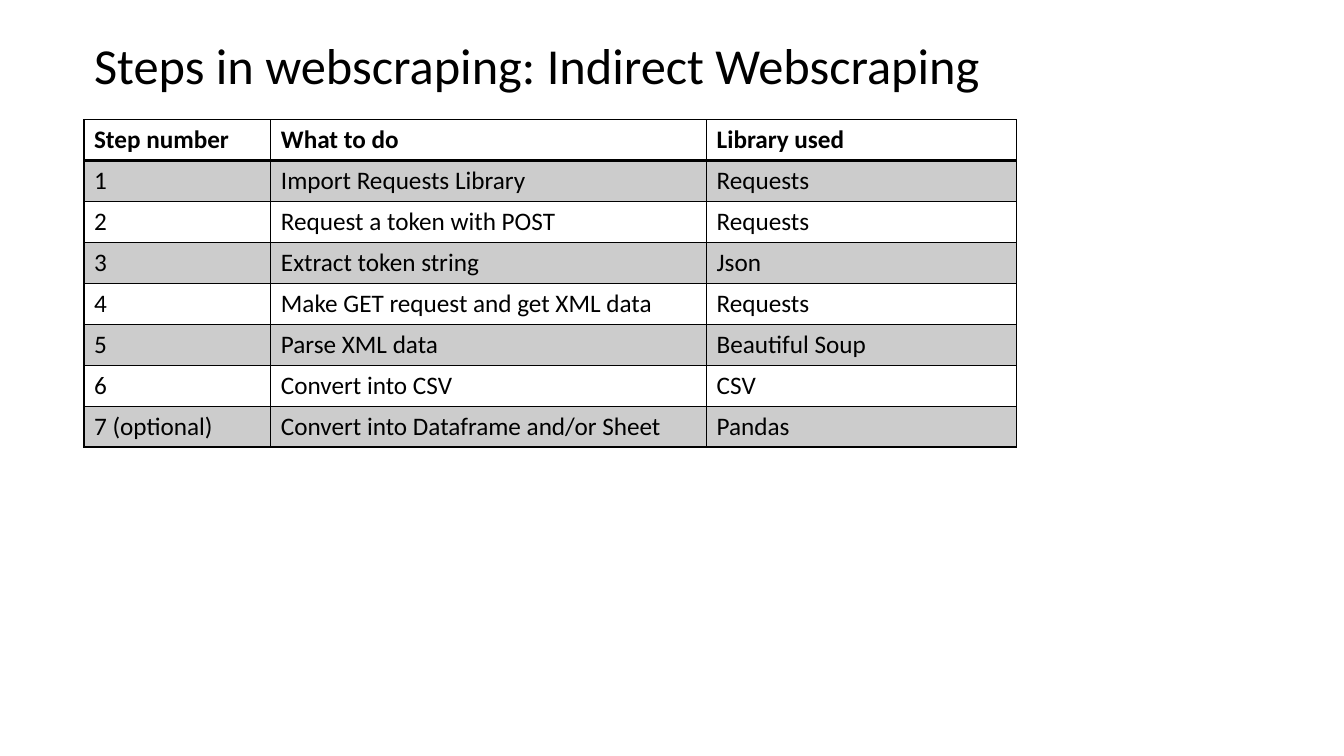
from dataclasses import dataclass

from lxml import etree
from pptx import Presentation
from pptx.dml.color import RGBColor
from pptx.enum.text import MSO_ANCHOR, PP_ALIGN
from pptx.oxml.ns import qn
from pptx.util import Pt

LEFT = PP_ALIGN.LEFT
MIDDLE = MSO_ANCHOR.MIDDLE
TOP = MSO_ANCHOR.TOP
PX = 9525  # EMU per px, 96 px to the inch


@dataclass(frozen=True)
class Theme:
    font: str = "Calibri"
    ink: str = "000000"
    paper: str = "FFFFFF"
    band: str = "CCCCCC"
    title_size: int = 36
    table_size: int = 18
    rule: int = 1
    header_rule: int = 2


THEME = Theme()


def write(frame, text, *, size, bold=False, anchor=TOP):
    frame.word_wrap = True
    frame.vertical_anchor = anchor
    paragraph = frame.paragraphs[0]
    paragraph.alignment = LEFT
    run = paragraph.add_run()
    run.text = text
    run.font.name = THEME.font
    run.font.size = Pt(size)
    run.font.bold = bold
    run.font.color.rgb = RGBColor.from_string(THEME.ink)


def add_border(cell, side, points):
    line = etree.SubElement(cell._tc.get_or_add_tcPr(), qn(f"a:ln{side}"), w=str(Pt(points)))
    fill = etree.SubElement(line, qn("a:solidFill"))
    etree.SubElement(fill, qn("a:srgbClr"), val=THEME.ink)


# Slide
prs = Presentation()
prs.slide_width, prs.slide_height = 1280 * PX, 720 * PX
slide = prs.slides.add_slide(prs.slide_layouts[5])
slide.background.fill.solid()
slide.background.fill.fore_color.rgb = RGBColor.from_string(THEME.paper)

# Title
title = slide.shapes.title
title.left, title.top, title.width, title.height = 80 * PX, 27 * PX, 1102 * PX, 68 * PX
write(title.text_frame, "Steps in webscraping: Indirect Webscraping",
      size=THEME.title_size, anchor=MIDDLE)

# Table of steps
STEPS = [
    ("Step number", "What to do", "Library used"),
    ("1", "Import Requests Library", "Requests"),
    ("2", "Request a token with POST", "Requests"),
    ("3", "Extract token string", "Json"),
    ("4", "Make GET request and get XML data", "Requests"),
    ("5", "Parse XML data", "Beautiful Soup"),
    ("6", "Convert into CSV", "CSV"),
    ("7 (optional)", "Convert into Dataframe and/or Sheet", "Pandas"),
]
COLUMN_WIDTHS = (178, 415, 295)
ROW_HEIGHT = 39

table = slide.shapes.add_table(
    len(STEPS), len(COLUMN_WIDTHS), 80 * PX, 114 * PX,
    sum(COLUMN_WIDTHS) * PX, len(STEPS) * ROW_HEIGHT * PX).table
table.horz_banding = False
for column, width in zip(table.columns, COLUMN_WIDTHS):
    column.width = width * PX

for row_number, step in enumerate(STEPS):
    is_header = row_number == 0
    table.rows[row_number].height = ROW_HEIGHT * PX
    for column_number, text in enumerate(step):
        cell = table.cell(row_number, column_number)
        write(cell.text_frame, text, size=THEME.table_size, bold=is_header)
        # The rule under the header is heavier, on both cells that share it
        for side in "LRTB":
            heavy = (row_number, side) in ((0, "B"), (1, "T"))
            add_border(cell, side, THEME.header_rule if heavy else THEME.rule)
        # Odd steps are shaded
        cell.fill.solid()
        cell.fill.fore_color.rgb = RGBColor.from_string(
            THEME.band if row_number % 2 else THEME.paper)

prs.save("out.pptx")
